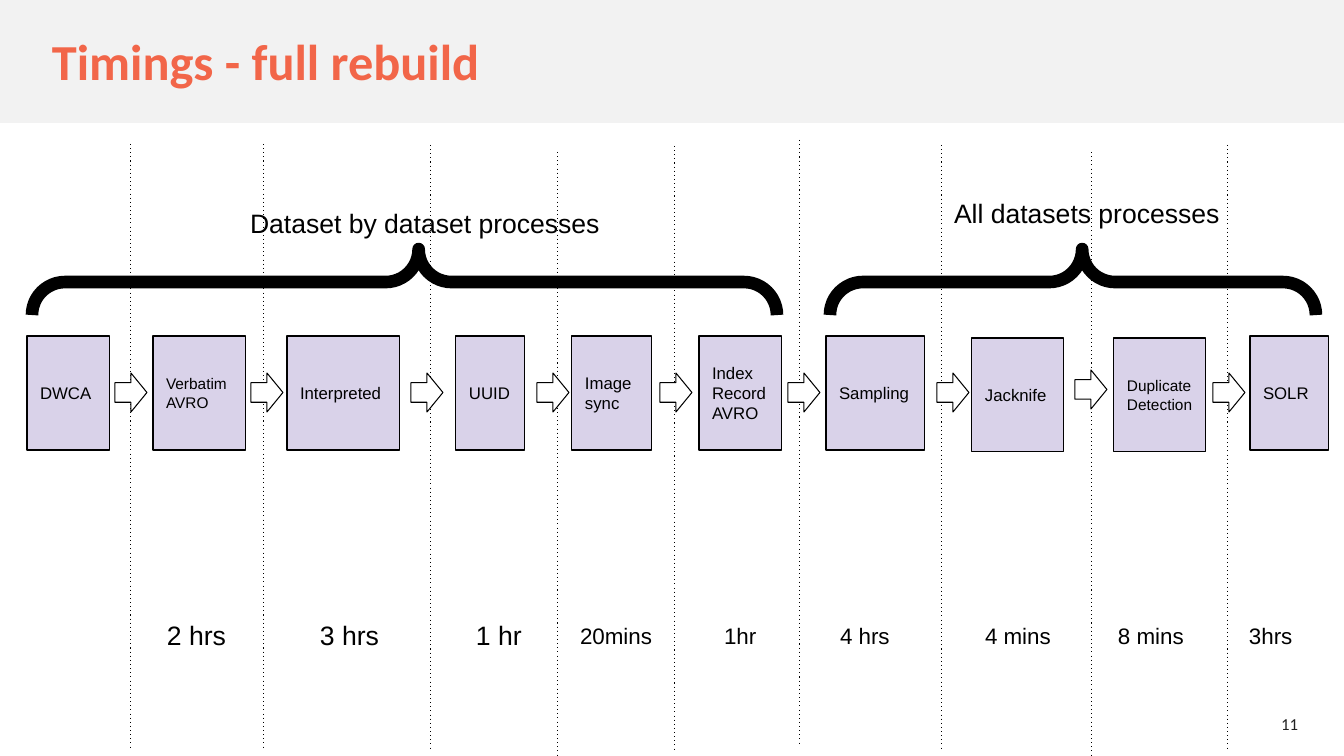
import pptx
import pptx.dml.color
import pptx.enum.dml
import pptx.enum.shapes
import pptx.enum.text
import pptx.oxml.ns
import pptx.util
from lxml import etree

EMU_PER_PX = 914400 / 100.8
SLIDE_WIDTH, SLIDE_HEIGHT = 1344, 756
COLORS = {
    "band": "F2F2F2",
    "title": "F26649",
    "step": "D9D2E9",
    "arrow": "FFFFFF",
    "ink": "000000",
    "number": "212121",
}
SHAPES = pptx.enum.shapes.MSO_SHAPE
MIDDLE = pptx.enum.text.MSO_ANCHOR.MIDDLE
TOP = pptx.enum.text.MSO_ANCHOR.TOP
LEFT = pptx.enum.text.PP_ALIGN.LEFT
RIGHT = pptx.enum.text.PP_ALIGN.RIGHT

STEPS = [
    ("DWCA", 27, 336, 83, 12),
    ("Verbatim\nAVRO", 153, 336, 93, 11),
    ("Interpreted", 287, 336, 113, 12),
    ("UUID", 456, 336, 69, 12),
    ("Image\nsync", 572, 336, 80, 12),
    ("Index\nRecord\nAVRO", 699, 336, 83, 12),
    ("Sampling", 826, 336, 99, 12),
    ("Jacknife", 972, 338, 92, 12),
    ("Duplicate\nDetection", 1114, 338, 92, 11),
    ("SOLR", 1250, 336, 79, 12),
]
ARROWS = [(115, 373), (251, 373), (411, 373), (537, 373), (660, 373),
          (788, 373), (937, 373), (1075, 370), (1213, 373)]
DIVIDERS = [(131, 144), (264, 144), (431, 145), (558, 152), (675, 146),
            (800, 140), (942, 145), (1092, 152), (1228, 145)]
LONG_TIMES = [("2 hrs", 157), ("3 hrs", 310), ("1 hr", 466)]
SHORT_TIMES = [("20mins", 567), ("1hr", 711), ("4 hrs", 827),
               ("4 mins", 972), ("8 mins", 1105), ("3hrs", 1236)]


def px(length):
    """Turn pixels into EMU."""
    return pptx.util.Emu(round(length * EMU_PER_PX))


def color(name):
    """Look up a named colour."""
    return pptx.dml.color.RGBColor.from_string(COLORS[name])


def write(shape, text, size, ink="ink", font="Arial", inset=0,
          anchor=TOP, align=LEFT, bold=False):
    """Fill a shape with text, one paragraph a line."""
    frame = shape.text_frame
    frame.word_wrap = True
    frame.vertical_anchor = anchor
    frame.margin_left = frame.margin_right = px(inset)
    frame.margin_top = frame.margin_bottom = px(inset)
    frame.text = text
    for paragraph in frame.paragraphs:
        paragraph.alignment = align
        paragraph.font.name = font
        paragraph.font.size = pptx.util.Pt(size)
        paragraph.font.bold = bold
        paragraph.font.color.rgb = color(ink)


def add_text(slide, box, text, size, **style):
    """Add a text box."""
    write(slide.shapes.add_textbox(*map(px, box)), text, size, **style)


def add_shape(slide, kind, box, fill=None, line_width=None):
    """Add a flat preset shape with optional fill and outline."""
    shape = slide.shapes.add_shape(kind, *map(px, box))
    shape.shadow.inherit = False
    if fill:
        shape.fill.solid()
        shape.fill.fore_color.rgb = color(fill)
    else:
        shape.fill.background()
    if line_width:
        shape.line.color.rgb = color("ink")
        shape.line.width = pptx.util.Pt(line_width)
    else:
        shape.line.fill.background()
    return shape


def add_header(slide, left, top, width, height):
    """Draw the header band and its title."""
    add_shape(slide, SHAPES.RECTANGLE, (left, top, width, height), "band")
    add_text(slide, (left + 52, top + 19, 948, 83), "Timings - full rebuild", 36,
             ink="title", font="Calibri", anchor=MIDDLE, bold=True)


def add_divider(slide, left, top, height):
    """Draw a dotted vertical line between two steps."""
    line = slide.shapes.add_connector(
        pptx.enum.shapes.MSO_CONNECTOR.STRAIGHT,
        px(left), px(top), px(left), px(top + height))
    line.line.color.rgb = color("ink")
    line.line.width = pptx.util.Pt(0.75)
    line.line.dash_style = pptx.enum.dml.MSO_LINE.ROUND_DOT
    properties = line._element.spPr
    properties.find(".//" + pptx.oxml.ns.qn("a:prstDash")).set("val", "dot")
    etree.SubElement(properties, pptx.oxml.ns.qn("a:effectLst"))


def add_pipeline(slide):
    """Draw the process steps and the arrows between them."""
    for text, left, top, width, size in STEPS:
        step = add_shape(slide, SHAPES.RECTANGLE, (left, top, width, 114), "step", 0.75)
        write(step, text, size, inset=13, anchor=MIDDLE)
    for left, top in ARROWS:
        add_shape(slide, SHAPES.RIGHT_ARROW, (left, top, 32, 39), "arrow", 0.75)


def add_brace(slide, left, top, width, height):
    """Draw a brace that opens downwards and fills the box."""
    box = (left + (width - height) / 2, top + (height - width) / 2, height, width)
    brace = add_shape(slide, SHAPES.RIGHT_BRACE, box, line_width=9)
    brace.rotation = 270
    brace.adjustments[0] = 0.5
    brace.adjustments[1] = 0.519


def add_times(slide, top):
    """Write the duration of each step along one row."""
    for text, left in LONG_TIMES:
        add_text(slide, (left, top, 112, 55), text, 19, inset=10)
    for text, left in SHORT_TIMES:
        width = min(149, SLIDE_WIDTH - left)
        add_text(slide, (left, top, width, 74), text, 16, inset=13)


def build_timings_slide(presentation):
    """Build the slide of rebuild timings."""
    slide = presentation.slides.add_slide(presentation.slide_layouts[6])
    add_header(slide, 0, 0, SLIDE_WIDTH, 123)
    for left, top in DIVIDERS:
        add_divider(slide, left, top, 604)
    add_pipeline(slide)
    add_brace(slide, 32, 249, 745, 66)
    add_text(slide, (237, 194, 618, 72), "Dataset by dataset processes", 19, inset=13)
    add_brace(slide, 830, 249, 486, 66)
    add_text(slide, (941, 184, 403, 72), "All datasets processes", 19, inset=13)
    add_times(slide, 609)
    add_text(slide, (1279, 716, 19, 15), "11", 12, ink="number", font="Calibri",
             anchor=MIDDLE, align=RIGHT)


def main():
    """Create and save the presentation."""
    presentation = pptx.Presentation()
    presentation.slide_width = px(SLIDE_WIDTH)
    presentation.slide_height = px(SLIDE_HEIGHT)
    build_timings_slide(presentation)
    presentation.save("out.pptx")


if __name__ == "__main__":
    main()
